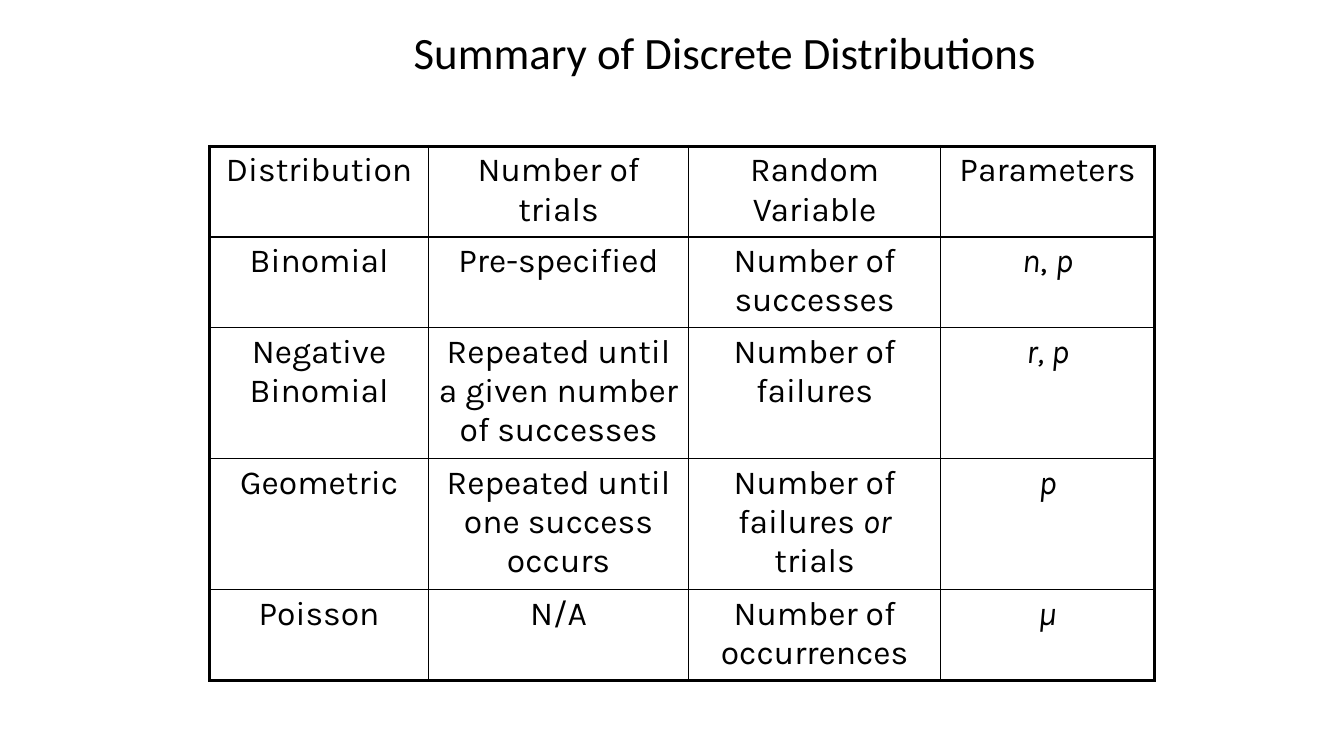
from typing import NamedTuple

from lxml.etree import SubElement
from pptx import Presentation
from pptx.dml.color import RGBColor
from pptx.enum.text import MSO_ANCHOR, PP_ALIGN
from pptx.oxml.ns import qn
from pptx.table import _Cell
from pptx.text.text import TextFrame
from pptx.util import Inches, Pt

BLACK = "000000"
THIN, THICK = 1, 2.25


class Row(NamedTuple):
    height: float
    texts: tuple[str, ...]


# Asterisks enclose italic text
WIDTHS = (2.17, 2.58, 2.5, 2.12)
ROWS = (
    Row(0.9, ("Distribution", "Number of trials", "Random Variable", "Parameters")),
    Row(0.9, ("Binomial", "Pre-specified", "Number of successes", "*n*, *p*")),
    Row(1.3, ("Negative Binomial", "Repeated until a given number of successes",
              "Number of failures", "*r, p*")),
    Row(1.3, ("Geometric", "Repeated until one success occurs",
              "Number of failures *or *trials", "*p*")),
    Row(0.9, ("Poisson", "N/A", "Number of occurrences", "*μ*")),
)


def color(code: str) -> RGBColor:
    return RGBColor.from_string(code)


def write(frame: TextFrame, text: str, *, font: str, size: float,
          spacing: float = 1.0) -> None:
    frame.word_wrap = True
    para = frame.paragraphs[0]
    para.alignment = PP_ALIGN.CENTER
    para.line_spacing = spacing
    for index, part in enumerate(text.split("*")):
        if part:
            run = para.add_run()
            run.text = part
            run.font.name = font
            run.font.size = Pt(size)
            run.font.italic = index % 2 == 1
            run.font.color.rgb = color(BLACK)


def border(cell: _Cell, sides: dict[str, float]) -> None:
    props = cell._tc.get_or_add_tcPr()
    for side, width in sides.items():
        line = SubElement(props, qn(f"a:ln{side}"), w=str(Pt(width)))
        fill = SubElement(line, qn("a:solidFill"))
        SubElement(fill, qn("a:srgbClr"), val=BLACK)


def main() -> None:
    deck = Presentation()
    deck.slide_width, deck.slide_height = Inches(13.33), Inches(7.5)
    slide = deck.slides.add_slide(deck.slide_layouts[6])

    # Title
    title = slide.shapes.add_textbox(
        Inches(2.93), Inches(-0.08), Inches(8.52), Inches(1.25)).text_frame
    title.vertical_anchor = MSO_ANCHOR.MIDDLE
    write(title, "Summary of Discrete Distributions",
          font="Calibri", size=32, spacing=0.9)

    # Table grid
    table = slide.shapes.add_table(
        len(ROWS), len(WIDTHS), Inches(2.08), Inches(1.45),
        Inches(sum(WIDTHS)), Inches(sum(row.height for row in ROWS))).table
    table.first_row = table.horz_banding = False
    for column, width in zip(table.columns, WIDTHS):
        column.width = Inches(width)

    # Cells, with a thick outer frame
    end, foot = len(WIDTHS) - 1, len(ROWS) - 1
    for y, row in enumerate(ROWS):
        table.rows[y].height = Inches(row.height)
        for x, text in enumerate(row.texts):
            cell = table.cell(y, x)
            write(cell.text_frame, text, font="Karla", size=24)
            edges = {"L": x == 0, "R": x == end, "T": y == 0, "B": y == foot}
            border(cell, {side: THICK if outer else THIN
                          for side, outer in edges.items()})
            cell.fill.background()

    deck.save("out.pptx")


if __name__ == "__main__":
    main()
